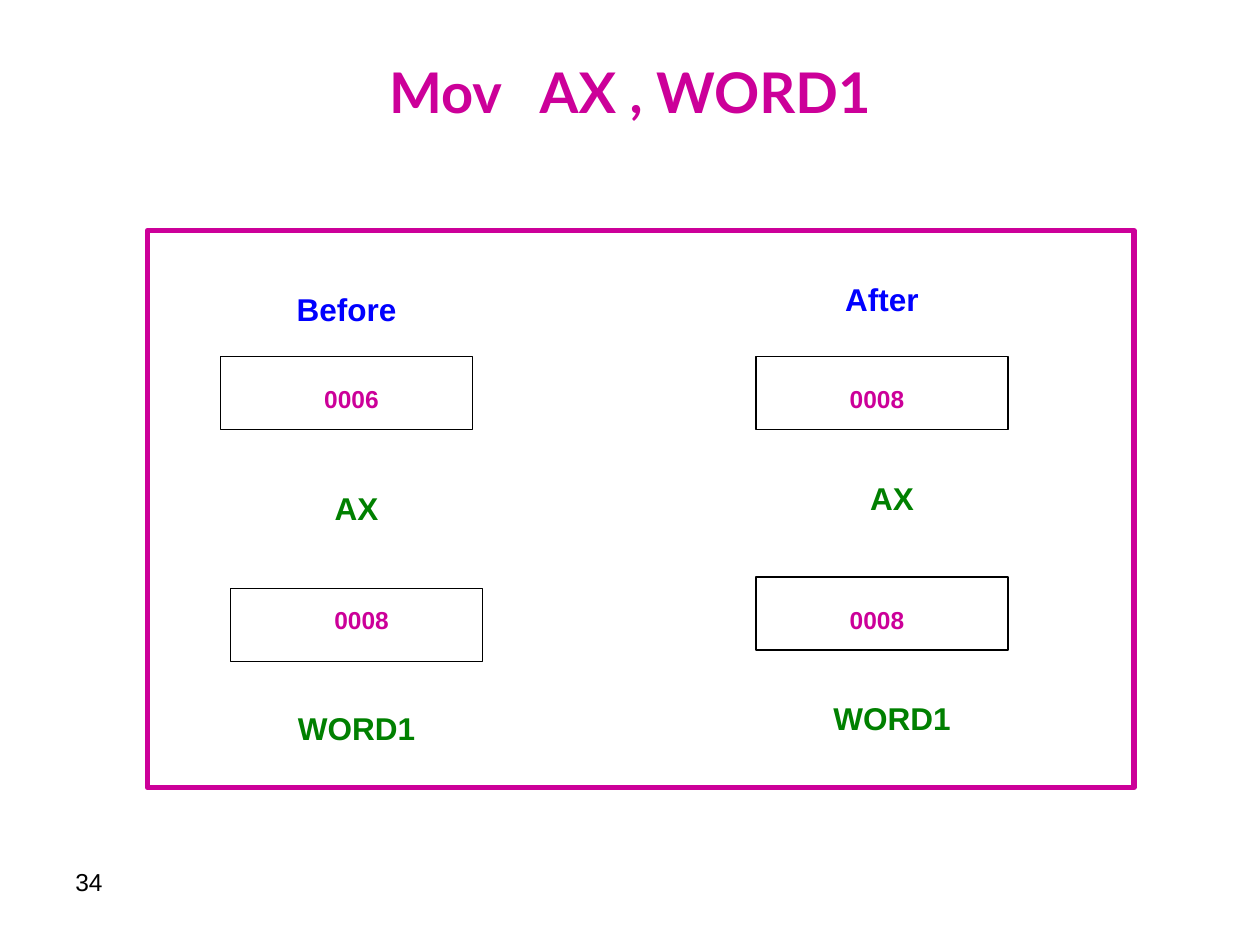
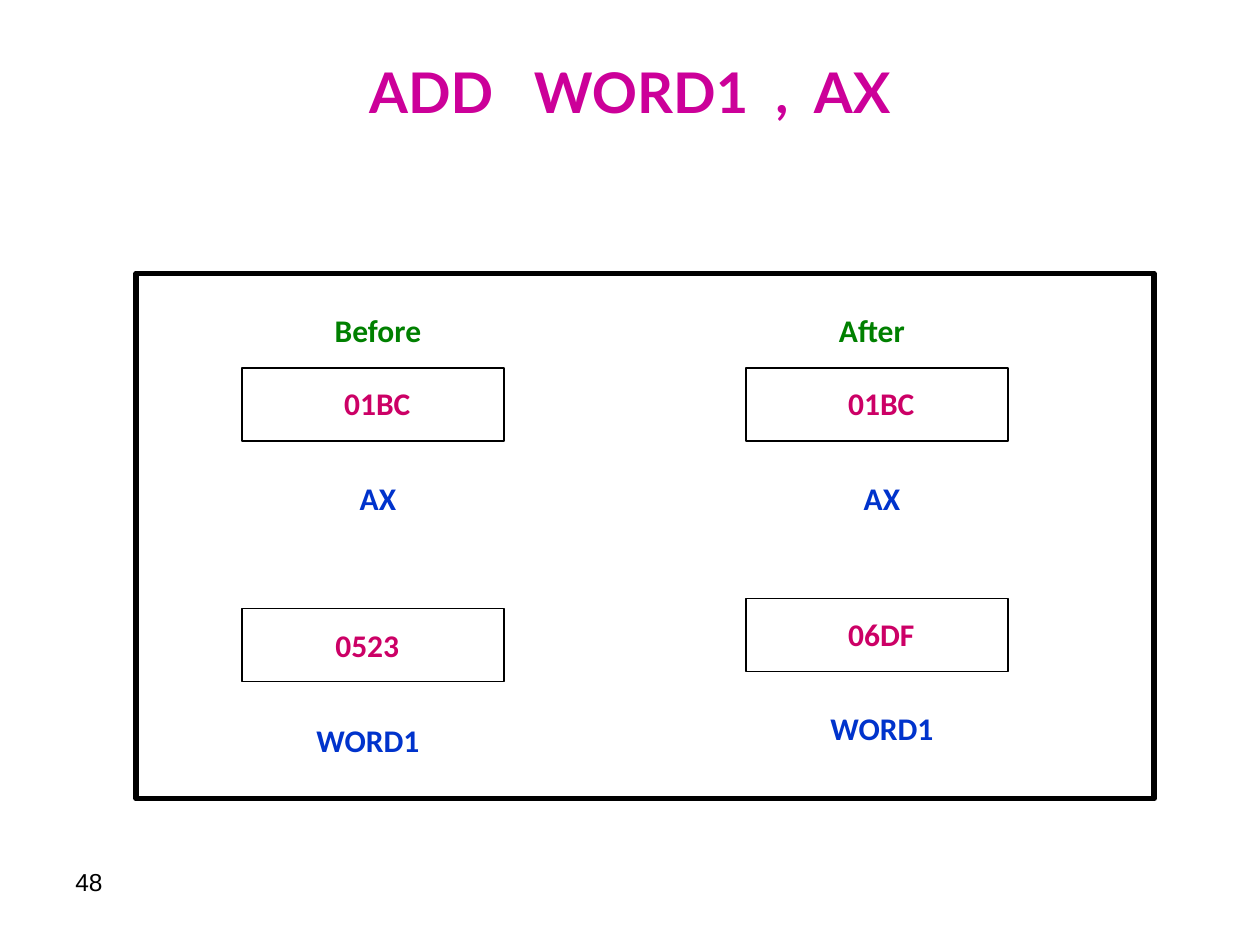
from dataclasses import dataclass

from pptx import Presentation
from pptx.dml.color import RGBColor
from pptx.enum.shapes import MSO_SHAPE
from pptx.enum.text import MSO_ANCHOR, MSO_AUTO_SIZE, PP_ALIGN
from pptx.util import Inches, Pt


@dataclass(frozen=True)
class Theme:
    title_font: str = "Lato"
    number_font: str = "Arial"
    magenta: str = "CC0099"
    crimson: str = "CC0066"
    green: str = "008000"
    bright_blue: str = "0000FF"
    blue: str = "0033CC"
    black: str = "000000"
    title_size: int = 32
    label_size: int = 18
    small_size: int = 14
    panel_line: float = 3
    cell_line: float = 0.75


THEME = Theme()
TITLE_AREA = (0.5, 0.3, 9, 0.85)
NUMBER_AREA = (0.5, 6.83, 2.33, 0.52)
CELL_HEIGHT = 0.58
SPACE_PER_POINT = 0.625  # space before a label, as a share of its type size

# Each state: heading, its place, then cells of
# (name, value, place of box, place of value, place of name).
INSTRUCTIONS = [
    {
        "title": "Mov   AX , WORD1",
        "number": "34",
        "font": "Arial",
        "panel": (1.17, 1.83, 7.83, 4.42),
        "panel_color": THEME.magenta,
        "heading_color": THEME.bright_blue,
        "name_color": THEME.green,
        "value_color": THEME.magenta,
        "value_size": THEME.small_size,
        "widths": {"cell": 2, "heading": 2, "name": 1.5, "value": 1.58},
        "states": [
            ("Before", (1.75, 2.25), [
                ("AX", "0006", (1.75, 2.83), (2, 3), (2.08, 3.83)),
                ("WORD1", "0008", (1.83, 4.67), (2.08, 4.75), (2.08, 5.58)),
            ]),
            ("After", (6, 2.17), [
                ("AX", "0008", (6, 2.83), (6.17, 3), (6.33, 3.75)),
                ("WORD1", "0008", (6, 4.58), (6.17, 4.75), (6.33, 5.5)),
            ]),
        ],
    },
    {
        "title": "ADD   WORD1  ,  AX",
        "number": "48",
        "font": "Calibri",
        "panel": (1.08, 2.17, 8.08, 4.17),
        "panel_color": THEME.black,
        "heading_color": THEME.green,
        "name_color": THEME.blue,
        "value_color": THEME.crimson,
        "value_size": THEME.label_size,
        "widths": {"cell": 2.08, "heading": 2, "name": 2, "value": 1.83},
        "states": [
            ("Before", (2, 2.42), [
                ("AX", "01BC", (1.92, 2.92), (2.08, 3), (2, 3.75)),
                ("WORD1", "0523", (1.92, 4.83), (2, 4.92), (1.92, 5.67)),
            ]),
            ("After", (5.92, 2.42), [
                ("AX", "01BC", (5.92, 2.92), (6.08, 3), (6, 3.75)),
                ("WORD1", "06DF", (5.92, 4.75), (6.08, 4.83), (6, 5.58)),
            ]),
        ],
    },
]


def add_run(paragraph, text, font, size, color, bold=True):
    run = paragraph.add_run()
    run.text = text
    run.font.name = font
    run.font.size = Pt(size)
    run.font.bold = bold
    run.font.color.rgb = RGBColor.from_string(color)


def add_title(slide, text):
    title = slide.shapes.title
    title.left, title.top, title.width, title.height = map(Inches, TITLE_AREA)
    frame = title.text_frame
    frame.auto_size = MSO_AUTO_SIZE.NONE
    frame.vertical_anchor = MSO_ANCHOR.MIDDLE
    paragraph = frame.paragraphs[0]
    paragraph.alignment = PP_ALIGN.CENTER
    add_run(paragraph, text, THEME.title_font, THEME.title_size, THEME.magenta)


def add_number(slide, text):
    frame = slide.shapes.add_textbox(*map(Inches, NUMBER_AREA)).text_frame
    frame.word_wrap = True
    add_run(frame.paragraphs[0], text, THEME.number_font, THEME.small_size,
            THEME.black, bold=False)


def add_outline(slide, area, color, line_width):
    """Add an unfilled rectangle."""
    shape = slide.shapes.add_shape(MSO_SHAPE.RECTANGLE, *map(Inches, area))
    shape.shadow.inherit = False
    shape.fill.background()
    shape.line.color.rgb = RGBColor.from_string(color)
    shape.line.width = Pt(line_width)


def add_label(slide, text, place, width, font, size, color):
    height = 0.4 if size == THEME.label_size else 0.34
    box = slide.shapes.add_textbox(*map(Inches, (*place, width, height)))
    frame = box.text_frame
    frame.word_wrap = True
    frame.auto_size = MSO_AUTO_SIZE.SHAPE_TO_FIT_TEXT
    paragraph = frame.paragraphs[0]
    paragraph.alignment = PP_ALIGN.CENTER
    paragraph.space_before = Pt(size * SPACE_PER_POINT)
    add_run(paragraph, text, font, size, color)


def add_instruction(presentation, content):
    slide = presentation.slides.add_slide(presentation.slide_layouts[5])
    font, widths = content["font"], content["widths"]
    add_title(slide, content["title"])
    add_number(slide, content["number"])
    add_outline(slide, content["panel"], content["panel_color"], THEME.panel_line)
    for heading, heading_place, cells in content["states"]:
        add_label(slide, heading, heading_place, widths["heading"], font,
                  THEME.label_size, content["heading_color"])
        for name, value, box_place, value_place, name_place in cells:
            add_outline(slide, (*box_place, widths["cell"], CELL_HEIGHT),
                        THEME.black, THEME.cell_line)
            add_label(slide, value, value_place, widths["value"], font,
                      content["value_size"], content["value_color"])
            add_label(slide, name, name_place, widths["name"], font,
                      THEME.label_size, content["name_color"])


def main():
    presentation = Presentation()
    presentation.slide_width = Inches(10)
    presentation.slide_height = Inches(7.5)
    for content in INSTRUCTIONS:
        add_instruction(presentation, content)
    presentation.save("out.pptx")


if __name__ == "__main__":
    main()
